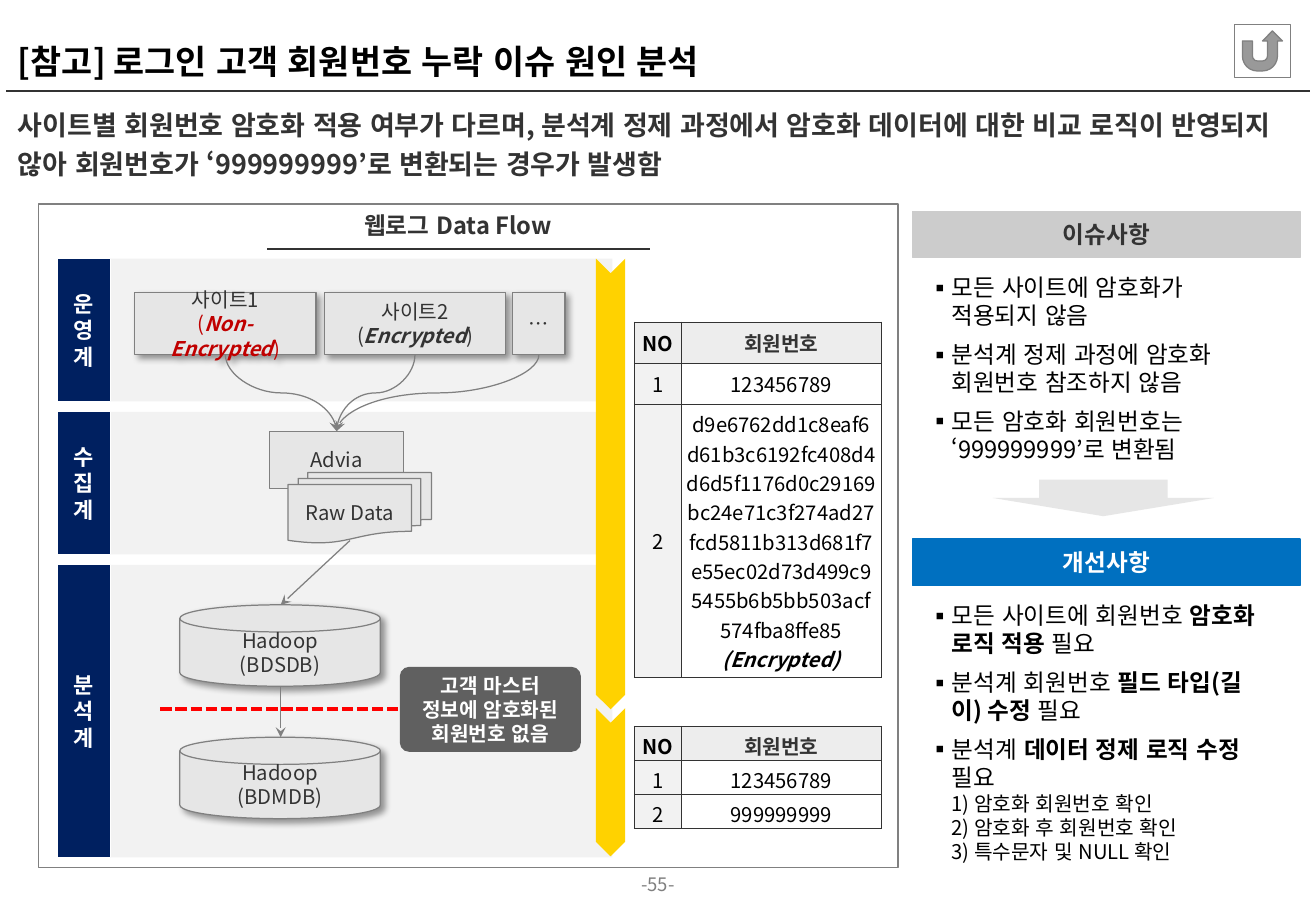
from lxml import etree
from pptx import Presentation
from pptx.dml.color import RGBColor
from pptx.enum.dml import MSO_LINE
from pptx.enum.lang import MSO_LANGUAGE_ID
from pptx.enum.shapes import MSO_CONNECTOR, MSO_SHAPE
from pptx.enum.text import MSO_ANCHOR, PP_ALIGN
from pptx.oxml.ns import qn
from pptx.util import Inches, Pt

RECT, ROUND = MSO_SHAPE.RECTANGLE, MSO_SHAPE.ROUNDED_RECTANGLE
DISK, DOCUMENTS = MSO_SHAPE.FLOWCHART_MAGNETIC_DISK, MSO_SHAPE.FLOWCHART_MULTIDOCUMENT
CHEVRON, DOWN, RETURN = MSO_SHAPE.CHEVRON, MSO_SHAPE.DOWN_ARROW, MSO_SHAPE.ACTION_BUTTON_RETURN
STRAIGHT, CURVE = MSO_CONNECTOR.STRAIGHT, MSO_CONNECTOR.CURVE
LEFT, CENTER = PP_ALIGN.LEFT, PP_ALIGN.CENTER
TOP, MIDDLE, BOTTOM = MSO_ANCHOR.TOP, MSO_ANCHOR.MIDDLE, MSO_ANCHOR.BOTTOM
SQUARE_DASH = MSO_LINE.SQUARE_DOT
KOREAN = MSO_LANGUAGE_ID.KOREAN

FONT = "Noto Sans CJK KR"
COLORS = {"black": "000000", "ink": "333333", "grey": "808080", "box": "E6E6E6",
          "head": "EDEDED", "number": "F2F2F2", "issue": "CCCCCC", "note": "606060",
          "navy": "002060", "blue": "0070C0", "yellow": "FFD200", "white": "FFFFFF",
          "dark_red": "C00000", "red": "FF0000"}
BOLD = {"bold": True}
BOLD_ITALIC = {"bold": True, "italic": True}
RED = {"color": "dark_red"}


# Grid: one cell is a tenth of an inch; boxes are (left, top, width, height)
def cells(*counts):
    return [Inches(count / 10) for count in counts]


def inside(box, x, y, w, h):
    return box[0] + x, box[1] + y, w, h


def rgb(name):
    return RGBColor.from_string(COLORS[name])


def add_xml(parent, tag, **attributes):
    return etree.SubElement(parent, qn(tag), attributes)


# Text: a paragraph is a string or a list of (text, style) runs
def write(frame, paragraphs, size, color="ink", bold=False, align=CENTER, anchor=MIDDLE,
          insets=(1, 0.5), gap=0, after=0, spacing=None, bullet=None):
    frame.word_wrap = True
    frame.vertical_anchor = anchor
    frame.margin_left, frame.margin_top = frame.margin_right, frame.margin_bottom = cells(*insets)
    for index, runs in enumerate(paragraphs):
        paragraph = frame.add_paragraph() if index else frame.paragraphs[0]
        paragraph.alignment = align
        paragraph.space_before = Pt(gap if index else 0)
        paragraph.space_after = Pt(after)
        if spacing:
            paragraph.line_spacing = spacing
        if bullet:
            properties = paragraph._p.get_or_add_pPr()
            properties.set("marL", str(Inches(0.19)))
            properties.set("indent", str(-Inches(0.19)))
            add_xml(properties, "a:buFont", typeface=FONT)
            add_xml(properties, "a:buChar", char=bullet)
        font = paragraph.font
        font.size, font.bold, font.name = Pt(size), bold, FONT
        font.color.rgb = rgb(color)
        add_xml(font._rPr, "a:ea", typeface=FONT)
        for text, style in [(runs, {})] if isinstance(runs, str) else runs:
            for line_number, line in enumerate(text.split("\n")):
                if line_number:
                    paragraph.add_line_break()
                if line:
                    add_run(paragraph, line, **style)


def add_run(paragraph, text, color=None, **style):
    run = paragraph.add_run()
    run.text = text
    run.font.language_id = KOREAN
    if color:
        run.font.color.rgb = rgb(color)
    for key, value in style.items():
        setattr(run.font, key, value)


def add_text(slide, box, paragraphs, size, **style):
    write(slide.shapes.add_textbox(*cells(*box)).text_frame, paragraphs, size, **style)


def add_block(slide, kind, box, fill=None, line=None, width=0.75, shadow=False):
    block = slide.shapes.add_shape(kind, *cells(*box))
    block.shadow.inherit = False
    if fill:
        block.fill.solid()
        block.fill.fore_color.rgb = rgb(fill)
    else:
        block.fill.background()
    if line:
        block.line.color.rgb = rgb(line)
        block.line.width = Pt(width)
    else:
        block.line.fill.background()
    if shadow:
        effects = block._element.spPr.find(qn("a:effectLst"))
        outer = add_xml(effects, "a:outerShdw", blurRad=str(Pt(4)), dist=str(Pt(3)),
                        dir="2700000", algn="tl", rotWithShape="0")
        add_xml(add_xml(outer, "a:srgbClr", val=COLORS["black"]), "a:alpha", val="40000")
    return block


def add_line(slide, start, end, color="grey", width=0.75, arrow=False, kind=STRAIGHT):
    line = slide.shapes.add_connector(kind, *cells(*start, *end))
    line.line.color.rgb = rgb(color)
    line.line.width = Pt(width)
    if arrow:
        add_xml(line.line._get_or_add_ln(), "a:tailEnd", type="stealth")
    add_xml(line._element.spPr, "a:effectLst")
    return line


def add_drop_curve(slide, start, end):
    """Curve that leaves and arrives vertically: a sideways curve, turned."""
    (x1, y1), (x2, y2) = start, end
    middle_x, middle_y = (x1 + x2) / 2, (y1 + y2) / 2
    side = 1 if x1 > x2 else -1
    half_w, half_h = side * (y2 - y1) / 2, abs(x2 - x1) / 2
    curve = add_line(slide, (middle_x - half_w, middle_y - half_h),
                     (middle_x + half_w, middle_y + half_h), arrow=True, kind=CURVE)
    curve._element.spPr.find(qn("a:xfrm")).set("rot", str(side * 90 % 360 * 60000))


def add_member_table(slide, box, row_heights, members):
    rows = [("NO", ["회원번호"])] + [(str(i), m) for i, m in enumerate(members, 1)]
    table = slide.shapes.add_table(len(rows), 2, *cells(*box)).table
    table.first_row = table.horz_banding = False
    table.columns[0].width, table.columns[1].width = cells(3.9, box[2] - 3.9)
    for r, (number, member) in enumerate(rows):
        table.rows[r].height = Inches(row_heights[r] / 10)
        for c, paragraphs in enumerate(([number], member)):
            cell = table.cell(r, c)
            properties = cell._tc.get_or_add_tcPr()
            for side in ("a:lnL", "a:lnR", "a:lnT", "a:lnB"):
                border = add_xml(properties, side, w=str(Pt(0.5)))
                add_xml(add_xml(border, "a:solidFill"), "a:srgbClr", val=COLORS["ink"])
            if r and c:
                cell.fill.background()
            else:
                cell.fill.solid()
                cell.fill.fore_color.rgb = rgb("number" if r else "head")
            write(cell.text_frame, paragraphs, 12, "black" if r or not c else "ink", bold=not r)
            cell.vertical_anchor = MIDDLE
            cell.margin_left = cell.margin_right = cell.margin_top = cell.margin_bottom = Inches(0.04)


# Header: title, return button, rule and key message
def add_header(slide, box):
    add_text(slide, inside(box, 0, 0, box[2], 6.7), ["[참고] 로그인 고객 회원번호 누락 이슈 원인 분석"],
             20, color="black", bold=True, align=LEFT, anchor=BOTTOM, spacing=0.85)
    add_block(slide, RETURN, inside(box, 101.1, 1.5, 4.6, 4.4), "white", "grey")
    add_line(slide, (box[0], box[1] + 7), (box[0] + box[2], box[1] + 7), "ink", 1)
    add_text(slide, inside(box, 0, 7.4, box[2], 7.1),
             ["사이트별 회원번호 암호화 적용 여부가 다르며, 분석계 정제 과정에서 암호화 데이터에 대한 비교 로직이 "
              "반영되지 않아 회원번호가 ‘999999999’로 변환되는 경우가 발생함"],
             16, bold=True, align=LEFT, anchor=TOP, spacing=1.2)


# Three lanes with their vertical labels
def add_lanes(slide, box):
    top, gap = 0, 0.85
    for label, height in (("운영계", 11.75), ("수집계", 11.75), ("분석계", 24.1)):
        lane = add_block(slide, RECT, inside(box, 0, top, box[2], height), "box")
        lane_color = lane._element.spPr.find(".//" + qn("a:srgbClr"))
        add_xml(lane_color, "a:alpha", val="50000")
        tab = add_block(slide, RECT, inside(box, 0, top, 4.4, height), "navy", "white")
        write(tab.text_frame, list(label), 13, "white", bold=True)
        top += height + gap


# Sites, collector and data stores, with the arrows between them
def add_flow(slide, box):
    collector = (box[0] + 23, box[1] + 14.2)
    sites = ((6.4, 14.9, ["사이트1", [("(", RED), ("Non-Encrypted", {**BOLD_ITALIC, **RED}), (")", RED)]]),
             (22, 14.9, ["사이트2", [("(", {}), ("Encrypted", BOLD_ITALIC), (")", {})]]),
             (37.5, 4.3, ["…"]))
    for x, width, text in sites:
        site = add_block(slide, RECT, inside(box, x, 2.8, width, 5.1), "box", "grey", shadow=True)
        write(site.text_frame, text, 12)
        add_drop_curve(slide, (box[0] + x + width / 2, box[1] + 7.9), collector)
    for kind, place, text in ((RECT, (17.5, 14.2, 11, 4.7), "Advia"),
                              (DOCUMENTS, (19, 17.6, 11.8, 5.8), "Raw Data")):
        write(add_block(slide, kind, inside(box, *place), "box", "grey").text_frame, [text], 12)
    for y, name in ((28.5, "(BDSDB)"), (39.4, "(BDMDB)")):
        store = add_block(slide, DISK, inside(box, 10.1, y, 16.5, 6.7), "box", "grey", shadow=True)
        write(store.text_frame, ["Hadoop", name], 12)
    store_x = box[0] + 18.4
    add_line(slide, (box[0] + 24.1, box[1] + 23.2), (store_x, box[1] + 28.5), arrow=True)
    add_line(slide, (store_x, box[1] + 35.2), (store_x, box[1] + 39.4), arrow=True)
    cut = add_line(slide, (box[0] + 8.5, box[1] + 37.1), (box[0] + 29.8, box[1] + 37.1), "red", 2.25)
    cut.line.dash_style = SQUARE_DASH
    note = add_block(slide, ROUND, inside(box, 28.2, 33.6, 14.9, 7), "note")
    note.adjustments[0] = 0.11
    write(note.text_frame, ["고객 마스터 정보에 암호화된 회원번호 없음"], 12, "white", bold=True)


# Framed data flow with chevrons and member tables
def add_data_flow(slide, box):
    add_block(slide, RECT, box, line="grey")
    add_text(slide, inside(box, 20.8, 0.1, 27.4, 3.4), ["웹로그 Data Flow"], 14,
             bold=True, anchor=TOP, insets=(0.5, 0.5))
    add_line(slide, (box[0] + 18.8, box[1] + 3.7), (box[0] + 50.3, box[1] + 3.7), "ink", 1)
    lanes = inside(box, 1.5, 4.5, 45.7, 49.3)
    add_lanes(slide, lanes)
    add_flow(slide, lanes)
    for top, length in ((4.5, 37.1), (41.5, 12.2)):
        step = add_block(slide, CHEVRON, inside(box, 47.05 - length / 2, top + length / 2 - 1.2, length, 2.4), "yellow")
        step.rotation = 90
    encrypted = ["d9e6762dd1c8eaf6d61b3c6192fc408d4d6d5f1176d0c29169bc24e71c3f274ad27fcd5811b313d681f7"
                 "e55ec02d73d499c95455b6b5bb503acf574fba8ffe85", [("(Encrypted)", BOLD_ITALIC)]]
    add_member_table(slide, inside(box, 49, 9.7, 20.3, 29.3), (3.4, 3.4, 22.5), (["123456789"], encrypted))
    add_member_table(slide, inside(box, 49, 43, 20.3, 8.4), (2.8, 2.8, 2.8), (["123456789"], ["999999999"]))


# Side panel: heading bar over bullets
def add_panel(slide, box, heading, fill, color, points):
    bar = add_block(slide, RECT, inside(box, 0, 0, box[2], 3.8), fill, fill, 1)
    write(bar.text_frame, [heading], 14, color, bold=True, insets=(0.8, 0))
    add_text(slide, inside(box, 0.5, 4.65, 29.5, box[3] - 4.65), points, 14, color="black",
             align=LEFT, anchor=TOP, insets=(0.8, 0.4), gap=3, after=3, bullet="▪")


def main():
    deck = Presentation()
    deck.slide_width, deck.slide_height = cells(108.3, 75)
    slide = deck.slides.add_slide(deck.slide_layouts[6])
    add_header(slide, (0.5, 0.5, 107.3, 14.5))
    add_data_flow(slide, (3.2, 16.8, 70.7, 54.6))
    add_panel(slide, (75.1, 17.4, 31.9, 21.7), "이슈사항", "issue", "ink",
              ["모든 사이트에 암호화가 적용되지 않음", "분석계 정제 과정에 암호화 회원번호 참조하지 않음",
               "모든 암호화 회원번호는 ‘999999999’로 변환됨"])
    add_block(slide, DOWN, (81.7, 39.5, 18.2, 3), "box").adjustments[0] = 0.58
    steps = "1) 암호화 회원번호 확인\n2) 암호화 후 회원번호 확인\n3) 특수문자 및 NULL 확인"
    add_panel(slide, (75.1, 44.4, 31.9, 26.6), "개선사항", "blue", "white",
              [[("모든 사이트에 회원번호 ", {}), ("암호화 로직 적용", BOLD), (" 필요", {})],
               [("분석계 회원번호 ", {}), ("필드 타입(길이) 수정", BOLD), (" 필요", {})],
               [("분석계 ", {}), ("데이터 정제 로직 수정", BOLD), (" 필요\n", {}), (steps, {"size": Pt(12)})]])
    add_text(slide, (49.9, 71.9, 8.5, 2.2), ["-55-"], 11, color="grey", anchor=TOP, insets=(0, 0))
    deck.save("out.pptx")


if __name__ == "__main__":
    main()
